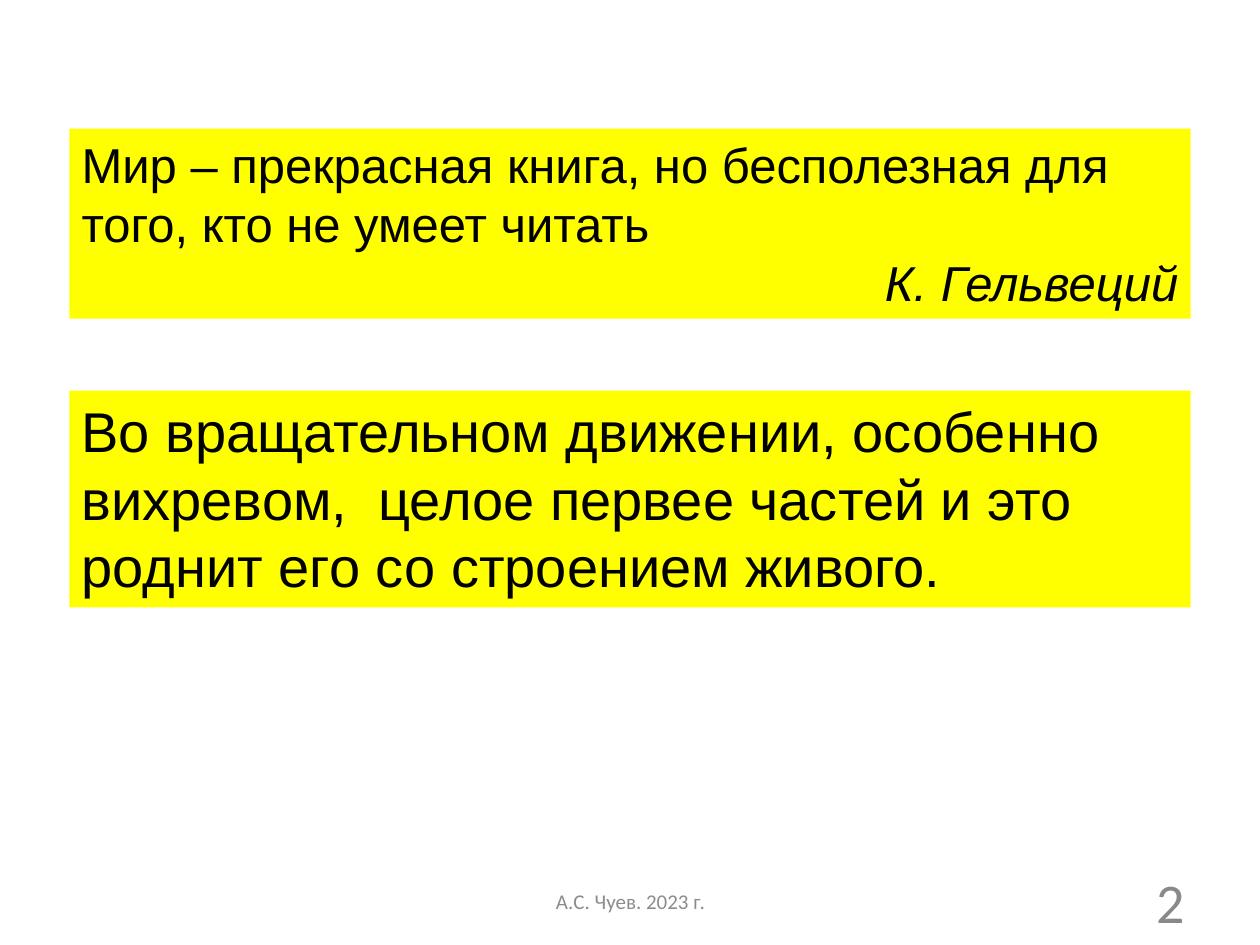
"""Build a slide with two quotations on yellow panels and a footer."""
from dataclasses import dataclass

from pptx import Presentation
from pptx.dml.color import RGBColor
from pptx.enum.shapes import MSO_SHAPE
from pptx.enum.text import MSO_ANCHOR, PP_ALIGN
from pptx.util import Inches, Pt


@dataclass(frozen=True)
class Theme:
    """Colours, fonts and type sizes of the slide."""
    panel: RGBColor = RGBColor(0xFF, 0xFF, 0x00)
    ink: RGBColor = RGBColor(0x00, 0x00, 0x00)
    number: RGBColor = RGBColor(0x89, 0x89, 0x89)
    footer: RGBColor = RGBColor(0x8C, 0x8C, 0x8C)
    body_font: str = "Arial"
    foot_font: str = "Calibri"
    quote_size: int = 28
    large_size: int = 32
    small_size: int = 12


THEME = Theme()
WIDTH, HEIGHT = 10, 7.5
PANEL_LEFT, PANEL_WIDTH = 0.55, 8.9
FOOT_TOP, FOOT_HEIGHT = 6.95, 0.4


def style(p, font, size, color, align=PP_ALIGN.LEFT, italic=False):
    """Set the alignment and font of a paragraph."""
    p.alignment = align
    p.font.name, p.font.size, p.font.italic = font, Pt(size), italic
    p.font.color.rgb = color


def add_panel(s, top, height, text, size, author=None):
    """Add a yellow panel with a quotation and, if known, its author."""
    sp = s.shapes.add_shape(MSO_SHAPE.RECTANGLE, Inches(PANEL_LEFT), Inches(top),
                            Inches(PANEL_WIDTH), Inches(height))
    sp.shadow.inherit = False
    sp.fill.solid()
    sp.fill.fore_color.rgb = THEME.panel
    sp.line.fill.background()
    tf = sp.text_frame
    tf.word_wrap, tf.vertical_anchor = True, MSO_ANCHOR.TOP
    p = tf.paragraphs[0]
    p.text = text
    style(p, THEME.body_font, size, THEME.ink)
    if author:
        p = tf.add_paragraph()
        p.text = author
        style(p, THEME.body_font, size, THEME.ink, PP_ALIGN.RIGHT, italic=True)


def add_foot(s, left, width, text, size, color, align):
    """Add a text box on the footer line."""
    sp = s.shapes.add_textbox(Inches(left), Inches(FOOT_TOP),
                              Inches(width), Inches(FOOT_HEIGHT))
    tf = sp.text_frame
    tf.word_wrap, tf.vertical_anchor = True, MSO_ANCHOR.MIDDLE
    p = tf.paragraphs[0]
    p.text = text
    style(p, THEME.foot_font, size, color, align)


def main():
    """Build and save the presentation."""
    prs = Presentation()
    prs.slide_width, prs.slide_height = Inches(WIDTH), Inches(HEIGHT)
    s = prs.slides.add_slide(prs.slide_layouts[6])
    add_panel(s, 1.02, 1.51,
              "Мир – прекрасная книга, но бесполезная для того, кто не умеет читать",
              THEME.quote_size, author="К. Гельвеций")
    add_panel(s, 3.1, 1.72,
              "Во вращательном движении, особенно вихревом,  целое первее частей "
              "и это роднит его со строением живого.", THEME.large_size)
    add_foot(s, 3.42, 3.17, "А.С. Чуев. 2023 г.", THEME.small_size,
             THEME.footer, PP_ALIGN.CENTER)
    add_foot(s, 7.17, 2.33, "2", THEME.large_size, THEME.number, PP_ALIGN.RIGHT)
    prs.save("out.pptx")


if __name__ == "__main__":
    main()
